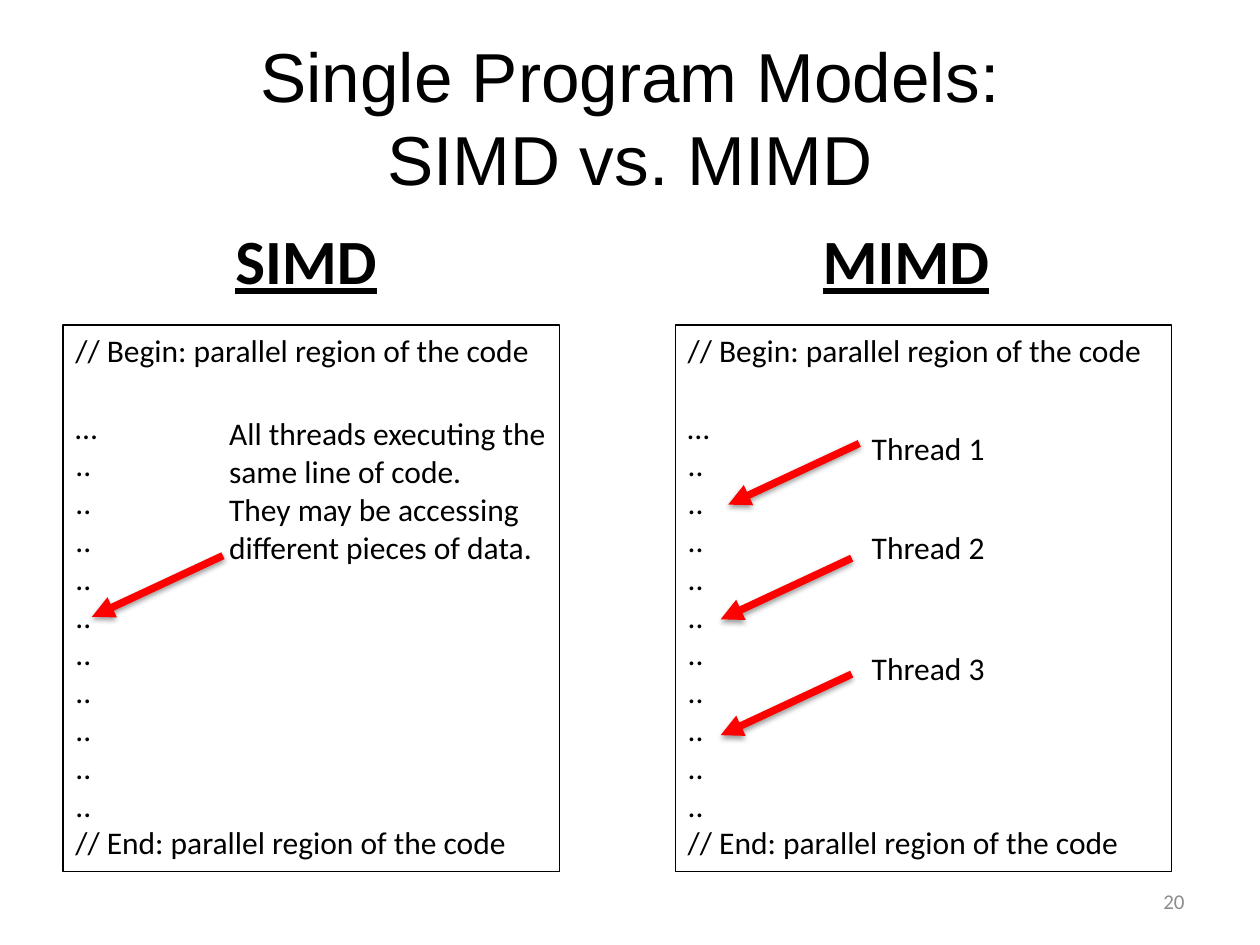
from lxml.etree import SubElement
from pptx import Presentation
from pptx.dml.color import RGBColor
from pptx.enum.shapes import MSO_CONNECTOR, MSO_SHAPE
from pptx.enum.text import MSO_ANCHOR, PP_ALIGN
from pptx.oxml import parse_xml
from pptx.oxml.ns import nsdecls, qn
from pptx.util import Inches, Pt

BLACK = RGBColor(0x00, 0x00, 0x00)
GRAY = RGBColor(0x8C, 0x8C, 0x8C)
RED = RGBColor(0xFF, 0x00, 0x00)

SLIDE_WIDTH, SLIDE_HEIGHT = Inches(10), Inches(7.5)
COLUMNS, ROWS = 100, 75  # square grid cells
ARROW_RUN, ARROW_DROP = -10.4, 4.85

BEGIN_LINE = "// Begin: parallel region of the code"
END_LINE = "// End: parallel region of the code"
CODE_LINES = [BEGIN_LINE, "…"] + [".."] * 10 + [END_LINE]

SHADOW_XML = f"""<a:effectLst {nsdecls('a')}>
  <a:outerShdw blurRad="40000" dist="20000" dir="5400000" rotWithShape="0">
    <a:srgbClr val="000000"><a:alpha val="38000"/></a:srgbClr>
  </a:outerShdw>
</a:effectLst>"""


def grid(left, top, width=0, height=0):
    """Turn columns and rows into slide lengths."""
    column, row = SLIDE_WIDTH / COLUMNS, SLIDE_HEIGHT / ROWS
    return [round(length) for length in
            (left * column, top * row, width * column, height * row)]


def style(paragraph, size, name="Calibri", color=BLACK, emphasis=None):
    font = paragraph.font
    font.size, font.name = Pt(size), name
    font.color.rgb = color
    font.bold = font.underline = emphasis


def add_text(slide, box, text, size, align=PP_ALIGN.LEFT, anchor=MSO_ANCHOR.TOP,
             wrap=False, **font):
    frame = slide.shapes.add_textbox(*grid(*box)).text_frame
    frame.word_wrap, frame.vertical_anchor = wrap, anchor
    paragraph = frame.paragraphs[0]
    paragraph.text, paragraph.alignment = text, align
    style(paragraph, size, **font)


def add_arrow(slide, left, top):
    begin = grid(left, top)[:2]
    end = grid(left + ARROW_RUN, top + ARROW_DROP)[:2]
    arrow = slide.shapes.add_connector(MSO_CONNECTOR.STRAIGHT, *begin, *end)
    arrow.line.color.rgb, arrow.line.width = RED, Pt(4.25)
    SubElement(arrow.line._get_or_add_ln(), qn("a:tailEnd"), type="triangle")
    arrow._element.spPr.append(parse_xml(SHADOW_XML))


def add_code_box(slide, box):
    shape = slide.shapes.add_shape(MSO_SHAPE.RECTANGLE, *grid(*box))
    shape.shadow.inherit = False
    shape.fill.background()
    shape.line.color.rgb, shape.line.width = BLACK, Pt(0.75)
    frame = shape.text_frame
    frame.word_wrap, frame.vertical_anchor = True, MSO_ANCHOR.TOP
    for index, line in enumerate(CODE_LINES):
        paragraph = frame.paragraphs[0] if index == 0 else frame.add_paragraph()
        paragraph.text, paragraph.alignment = line, PP_ALIGN.LEFT
        if index == 1:
            paragraph.space_before = Pt(22)
        style(paragraph, 18)


def add_model_panel(slide, box, heading, heading_place, notes, arrows):
    """Place a headed code box; notes and arrows are offsets from its corner."""
    left, top, width, height = box
    code_top = top + 8.7
    add_code_box(slide, (left, code_top, width, height - 8.7))
    for x, y in arrows:
        add_arrow(slide, left + x, code_top + y)
    for text, x, y, note_width, note_height in notes:
        add_text(slide, (left + x, code_top + y, note_width, note_height), text, 18)
    heading_left, heading_width = heading_place
    add_text(slide, (left + heading_left, top, heading_width, 7.1), heading, 36,
             emphasis=True)


def main():
    presentation = Presentation()
    presentation.slide_width, presentation.slide_height = SLIDE_WIDTH, SLIDE_HEIGHT
    slide = presentation.slides.add_slide(presentation.slide_layouts[6])

    add_text(slide, (5, 3, 90, 12.5), "Single Program Models:\nSIMD vs. MIMD", 39.6,
             PP_ALIGN.CENTER, MSO_ANCHOR.MIDDLE, wrap=True, name="Arial")
    add_model_panel(
        slide, (5, 17.1, 39.4, 52.1), "SIMD", (12.7, 13.4),
        notes=[("All threads executing the \nsame line of code. \n"
                "They may be accessing\ndifferent pieces of data.",
                12.2, 6.6, 28, 13.1)],
        arrows=[(12.7, 18.3)])
    thread_tops = (7.8, 15.6, 25.2)
    add_model_panel(
        slide, (53.6, 17.1, 39.4, 52.1), "MIMD", (10.7, 15.4),
        notes=[(f"Thread {number}", 14.6, top, 11.1, 4)
               for number, top in enumerate(thread_tops, start=1)],
        arrows=[(14.6, 9.4), (14, 18.5), (14, 27.7)])
    add_text(slide, (71.7, 69.5, 23.3, 4), "20", 12, PP_ALIGN.RIGHT,
             MSO_ANCHOR.MIDDLE, wrap=True, color=GRAY)

    presentation.save("out.pptx")


if __name__ == "__main__":
    main()
